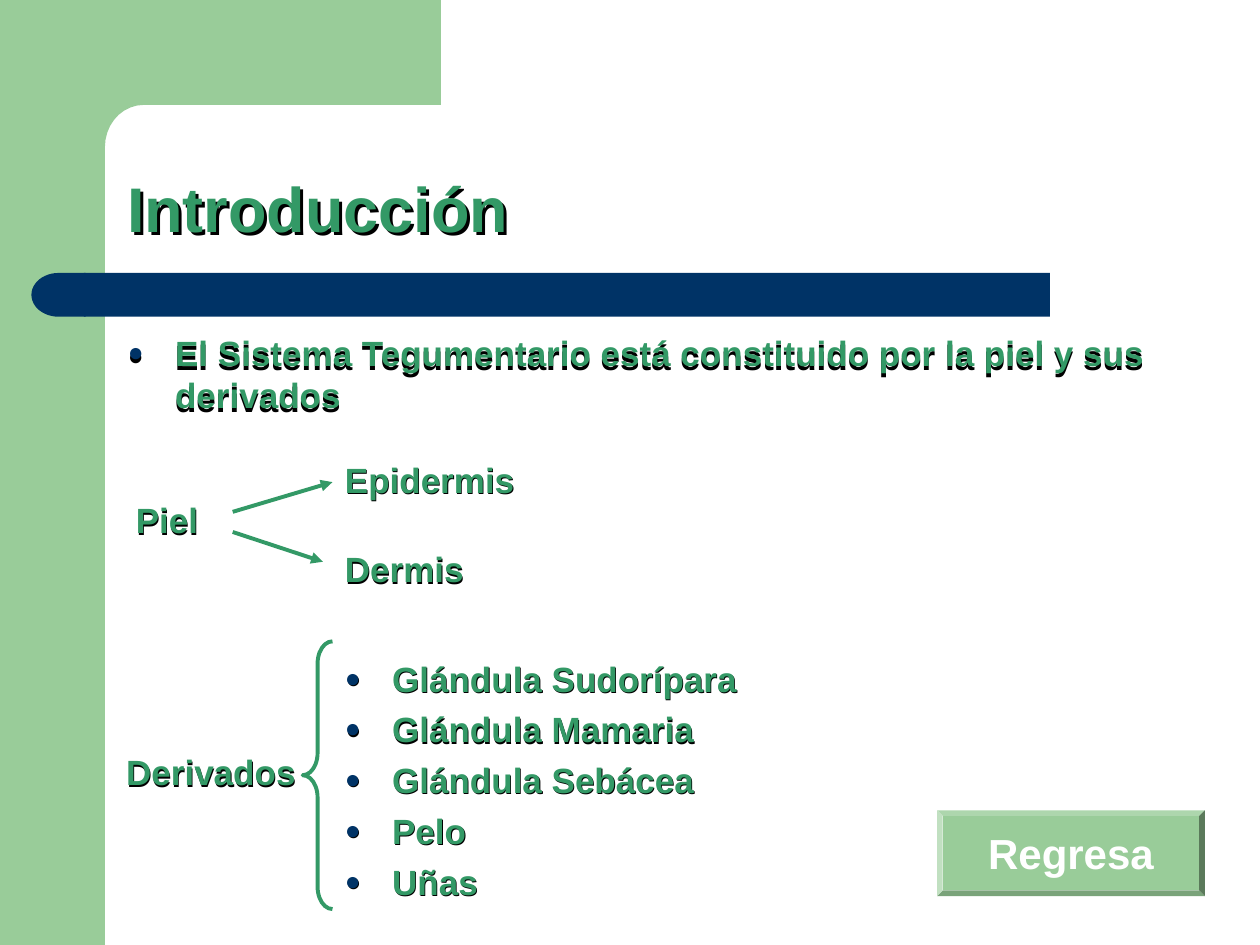
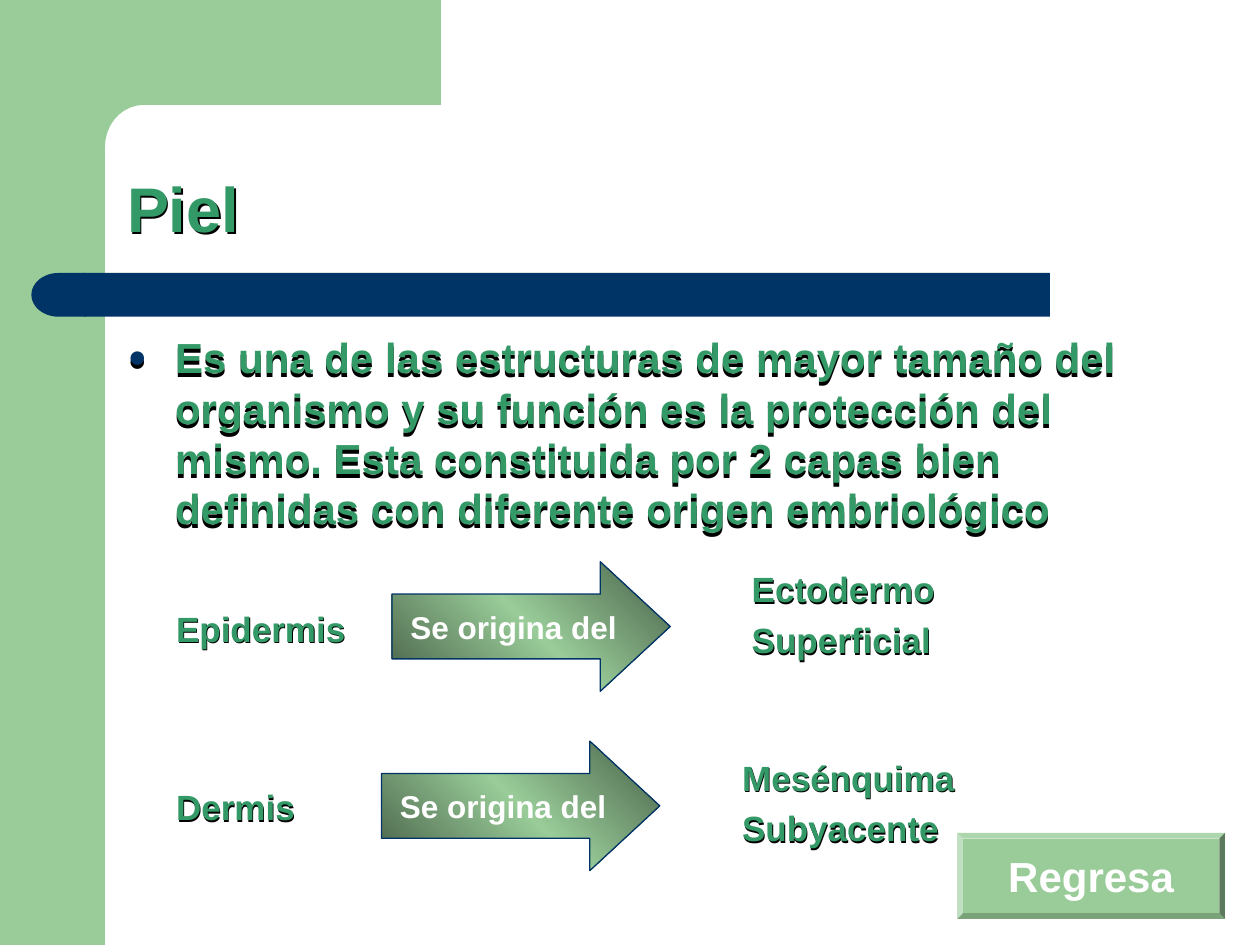
from copy import deepcopy
from dataclasses import dataclass
from math import cos, radians, sin

from lxml import etree
from pptx import Presentation
from pptx.dml.color import RGBColor
from pptx.enum.shapes import MSO_CONNECTOR, MSO_SHAPE
from pptx.enum.text import MSO_ANCHOR, PP_ALIGN
from pptx.oxml.ns import qn
from pptx.util import Pt

TOP, MIDDLE, BOTTOM = MSO_ANCHOR.TOP, MSO_ANCHOR.MIDDLE, MSO_ANCHOR.BOTTOM
LEFT, CENTER = PP_ALIGN.LEFT, PP_ALIGN.CENTER
RECTANGLE = MSO_SHAPE.RECTANGLE
DELAY = MSO_SHAPE.FLOWCHART_DELAY
BEVEL = MSO_SHAPE.BEVEL
RIGHT_ARROW = MSO_SHAPE.RIGHT_ARROW
LEFT_BRACE = MSO_SHAPE.LEFT_BRACE
STRAIGHT = MSO_CONNECTOR.STRAIGHT


@dataclass(frozen=True)
class Theme:
    font: str = "Arial"
    band: str = "99CC99"
    band_dark: str = "465E46"
    navy: str = "003366"
    text: str = "339966"
    white: str = "FFFFFF"
    shadow: str = "000000"
    title_size: int = 36
    large_size: int = 24
    label_size: int = 20
    arrow_size: int = 18


THEME = Theme()


def add_xml(parent, tag, **attributes):
    return etree.SubElement(parent, qn(tag), attributes)


def add_bullet(para, color):
    properties = para._p.get_or_add_pPr()
    properties.set("marL", str(Pt(27)))
    properties.set("indent", str(-Pt(27)))
    add_xml(add_xml(properties, "a:buClr"), "a:srgbClr", val=color)
    add_xml(properties, "a:buSzPct", val="75000")
    add_xml(properties, "a:buFont", typeface=THEME.font)
    add_xml(properties, "a:buChar", char="●")


def write_text(shape, *lines, size=THEME.label_size, color=THEME.text, align=LEFT,
               anchor=TOP, wrap=True, bullet=False, gap=5, spacing=None):
    frame = shape.text_frame
    frame.word_wrap = wrap
    frame.vertical_anchor = anchor
    frame.margin_left = frame.margin_right = Pt(7.2)
    frame.margin_top = frame.margin_bottom = Pt(3.6)
    for number, line in enumerate(lines):
        para = frame.add_paragraph() if number else frame.paragraphs[0]
        para.alignment = align
        if number:
            para.space_before = Pt(gap)
        if spacing:
            para.line_spacing = spacing
        if bullet:
            add_bullet(para, THEME.navy)
        span = para.add_run()
        span.text = line
        span.font.name = THEME.font
        span.font.size = Pt(size)
        span.font.bold = True
        span.font.color.rgb = RGBColor.from_string(color)


class Page:
    """Holds the deck, its theme and the slide being filled."""

    def __init__(self, deck, theme):
        self.deck, self.theme = deck, theme
        self.shapes = None

    def start(self, title, shadow):
        layout = self.deck.slide_layouts[6]
        self.shapes = self.deck.slides.add_slide(layout).shapes
        self.frame()
        self.text((65.5, 65.5, 613, 78.5), title, size=self.theme.title_size,
                  anchor=BOTTOM, spacing=0.9, shadow=shadow)

    def frame(self):
        """Green corner with a rounded inner edge, and the navy title bar."""
        self.shape(RECTANGLE, (0, 0, 60, 540), fill=self.theme.band)
        arc = [(82 - 22 * cos(radians(angle)), 84 - 24 * sin(radians(angle)))
               for angle in range(90, -1, -10)]
        outline = [(252, 0), (252, 60), *arc, (60, 92), (36, 92), (36, 0)]
        points = [(Pt(x), Pt(y)) for x, y in outline]
        builder = self.shapes.build_freeform(*points[0], scale=1.0)
        builder.add_line_segments(points[1:], close=True)
        self.paint(builder.convert_to_shape(), fill=self.theme.band)
        self.shape(RECTANGLE, (48, 156, 552, 25), fill=self.theme.navy)
        cap = self.shape(DELAY, (18, 156, 31, 25), fill=self.theme.navy)
        cap._element.spPr.find(qn("a:xfrm")).set("flipH", "1")

    def paint(self, shape, fill=None, line=None, width=0.75):
        shape.shadow.inherit = False
        if fill:
            shape.fill.solid()
            shape.fill.fore_color.rgb = RGBColor.from_string(fill)
        else:
            shape.fill.background()
        if line:
            shape.line.color.rgb = RGBColor.from_string(line)
            shape.line.width = Pt(width)
        else:
            shape.line.fill.background()
        return shape

    def shape(self, kind, place, adjust=(), **paint):
        shape = self.shapes.add_shape(kind, *map(Pt, place))
        for number, value in enumerate(adjust):
            shape.adjustments[number] = value
        return self.paint(shape, **paint)

    def text(self, place, *lines, shadow=(0.9, 60), **style):
        """Text box with a shadow given as distance and direction."""
        box = self.shapes.add_textbox(*map(Pt, place))
        write_text(box, *lines, **style)
        distance, angle = shadow
        effects = add_xml(box._element.spPr, "a:effectLst")
        cast = add_xml(effects, "a:outerShdw", dist=str(Pt(distance)),
                       dir=str(angle * 60000), algn="ctr", rotWithShape="0")
        add_xml(cast, "a:srgbClr", val=self.theme.shadow)

    def pointer(self, start, end):
        line = self.shapes.add_connector(STRAIGHT, *map(Pt, (*start, *end)))
        line.line.color.rgb = RGBColor.from_string(self.theme.text)
        line.line.width = Pt(2.25)
        add_xml(line.line._get_or_add_ln(), "a:tailEnd", type="triangle")
        add_xml(line._element.spPr, "a:effectLst")

    def brace(self, place):
        self.shape(LEFT_BRACE, place, adjust=(0.75, 0.5),
                   line=self.theme.text, width=2.25)

    def origin_arrow(self, left, top):
        arrow = self.shape(RIGHT_ARROW, (left, top, 159, 74), adjust=(0.5, 0.54),
                           line=self.theme.navy)
        arrow.fill.gradient()
        arrow.fill.gradient_angle = 225
        stop_list = arrow._element.spPr.find(qn("a:gradFill")).find(qn("a:gsLst"))
        stop_list.append(deepcopy(stop_list[0]))
        colors = (self.theme.band_dark, self.theme.band, self.theme.band_dark)
        for number, color in enumerate(colors):
            stop = arrow.fill.gradient_stops[number]
            stop.position = number / 2
            stop.color.rgb = RGBColor.from_string(color)
        write_text(arrow, "Se origina del", size=self.theme.arrow_size,
                   color=self.theme.white, align=CENTER, anchor=MIDDLE, wrap=False)

    def back_button(self, left, top):
        button = self.shape(BEVEL, (left, top, 153, 49), adjust=(0.065,),
                            fill=self.theme.band)
        write_text(button, "Regresa", size=self.theme.large_size,
                   color=self.theme.white, align=CENTER, anchor=MIDDLE, wrap=False)


def introduction(page):
    page.start("Introducción", shadow=(2.4, 45))
    page.text((66, 186, 606, 73),
              "El Sistema Tegumentario está constituido por la piel y sus derivados",
              bullet=True, shadow=(2.3, 90))
    for label, left, top in (("Piel", 70.5, 281.5), ("Epidermis", 190, 258.5),
                             ("Dermis", 190, 309.5), ("Derivados", 65, 425.5)):
        page.text((left, top, 159, 31), label)
    page.text((190, 372, 363, 127), "Glándula Sudorípara", "Glándula Mamaria",
              "Glándula Sebácea", "Pelo", "Uñas", bullet=True)
    page.pointer((133, 292.5), (190, 275.5))
    page.pointer((133, 304), (184.5, 321))
    page.brace((173, 366.5, 17, 153))
    page.back_button(535.5, 463)


def skin(page):
    page.start("Piel", shadow=(1.6, 45))
    page.text((66, 186, 606, 293),
              "Es una de las estructuras de mayor tamaño del organismo y su función "
              "es la protección del mismo. Esta constituida por 2 capas bien "
              "definidas con diferente origen embriológico",
              size=THEME.large_size, bullet=True, shadow=(2.3, 90))
    rows = (("Epidermis", 343.5, 224, 321, ("Ectodermo", "Superficial"), 422.5, 321),
            ("Dermis", 445.5, 218, 423.5, ("Mesénquima", "Subyacente"), 417, 428.5))
    for layer, top, arrow_left, arrow_top, origin, origin_left, origin_top in rows:
        page.text((93.5, top, 159, 31), layer)
        page.origin_arrow(arrow_left, arrow_top)
        page.text((origin_left, origin_top, 164, 68), *origin)
    page.back_button(547, 476)


def main():
    deck = Presentation()
    deck.slide_width, deck.slide_height = Pt(720), Pt(540)
    page = Page(deck, THEME)
    introduction(page)
    skin(page)
    deck.save("out.pptx")


if __name__ == "__main__":
    main()
